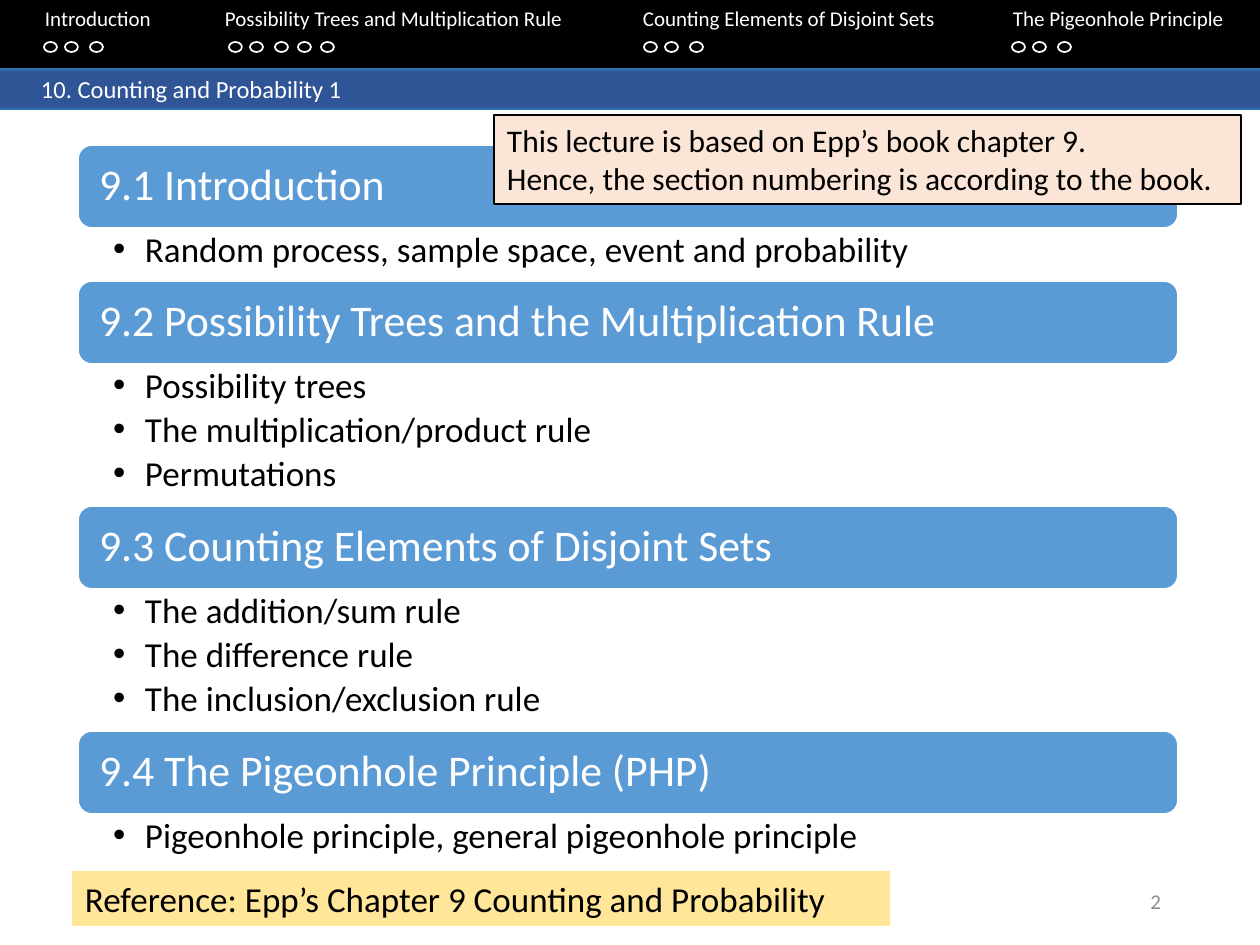
import lxml.etree
import pptx
import pptx.dml.color
import pptx.enum.shapes
import pptx.enum.text
import pptx.oxml.ns
import pptx.util

SCALE = 914400 / 126
FONT = "Calibri"
WHITE, BLACK = "FFFFFF", "000000"
BAND_STOPS = [(0, "2E75B6"), (11, "2F5597"), (91, "2F5597"), (100, "2E75B6")]
ALIGN = pptx.enum.text.PP_ALIGN
ANCHOR = pptx.enum.text.MSO_ANCHOR
SHAPE = pptx.enum.shapes.MSO_SHAPE

CHAPTERS = [
    ("Introduction", 45, 44, 3),
    ("Possibility Trees and Multiplication Rule", 225, 229, 5),
    ("Counting Elements of Disjoint Sets", 643, 644, 3),
    ("The Pigeonhole Principle", 1013, 1012, 3),
]
DOT_OFFSETS = [0, 21, 46, 69, 92]

SECTIONS = [
    ("9.1 Introduction", ["Random process, sample space, event and probability"]),
    ("9.2 Possibility Trees and the Multiplication Rule",
     ["Possibility trees", "The multiplication/product rule", "Permutations"]),
    ("9.3 Counting Elements of Disjoint Sets",
     ["The addition/sum rule", "The difference rule", "The inclusion/exclusion rule"]),
    ("9.4 The Pigeonhole Principle (PHP)",
     ["Pigeonhole principle, general pigeonhole principle"]),
]


def px(length):
    return pptx.util.Emu(round(length * SCALE))


def color(value):
    return pptx.dml.color.RGBColor.from_string(value)


def add_xml(parent, tag, **attributes):
    return lxml.etree.SubElement(parent, pptx.oxml.ns.qn(tag), attributes)


def add_bullet(para, indent):
    props = para._p.get_or_add_pPr()
    props.set("marL", str(px(indent)))
    props.set("indent", str(-px(indent)))
    add_xml(props, "a:buFont", typeface="Arial")
    add_xml(props, "a:buChar", char="•")


def add_tabs(para, stops):
    tab_list = add_xml(para._p.get_or_add_pPr(), "a:tabLst")
    for stop in stops:
        add_xml(tab_list, "a:tab", pos=str(px(stop)), algn="l")


def write(shape, text, size, ink=BLACK, align=ALIGN.LEFT, anchor=ANCHOR.TOP,
          insets=(13, 6, 13, 6), spacing=None, after=None, bullet=None, tabs=()):
    frame = shape.text_frame
    frame.word_wrap = True
    frame.vertical_anchor = anchor
    frame.margin_left, frame.margin_top, frame.margin_right, frame.margin_bottom = map(px, insets)
    for index, line in enumerate(text.split("\n")):
        para = frame.add_paragraph() if index else frame.paragraphs[0]
        para.alignment = align
        if bullet:
            add_bullet(para, bullet)
        if tabs:
            add_tabs(para, tabs)
        if spacing:
            para.line_spacing = spacing
        if after:
            para.space_after = pptx.util.Pt(after)
        span = para.add_run()
        span.text = line
        span.font.name = FONT
        span.font.size = pptx.util.Pt(size)
        span.font.color.rgb = color(ink)


def add_box(shapes, left, top, width, height):
    return shapes.add_textbox(px(left), px(top), px(width), px(height))


def add_shape(shapes, kind, left, top, width, height, fill=None, line=None, weight=1):
    shape = shapes.add_shape(kind, px(left), px(top), px(width), px(height))
    shape.shadow.inherit = False
    if fill:
        shape.fill.solid()
        shape.fill.fore_color.rgb = color(fill)
    else:
        shape.fill.background()
    if line:
        shape.line.color.rgb = color(line)
        shape.line.width = pptx.util.Pt(weight)
    else:
        shape.line.fill.background()
    return shape


def add_band(shapes, top, height):
    band = add_shape(shapes, SHAPE.RECTANGLE, 0, top, 1260, height)
    band.fill.gradient()
    band.fill.gradient_angle = 270
    stop_list = band._element.spPr.find(".//" + pptx.oxml.ns.qn("a:gsLst"))
    for stop in list(stop_list):
        stop_list.remove(stop)
    for position, value in BAND_STOPS:
        stop = add_xml(stop_list, "a:gs", pos=str(position * 1000))
        add_xml(stop, "a:srgbClr", val=value)
    return band


def add_outline(shapes):
    outline = shapes.add_group_shape().shapes
    top, heading_height = 145, 83
    for heading, topics in SECTIONS:
        bar = add_shape(outline, SHAPE.ROUNDED_RECTANGLE, 78, top, 1100, heading_height,
                        fill="5B9BD5", line=WHITE)
        write(bar, heading, 25, ink=WHITE, anchor=ANCHOR.MIDDLE,
              insets=(17, 13, 17, 13), spacing=0.9)
        top += heading_height
        height = (17 + 89 * len(topics)) // 2
        body = add_box(outline, 78, top, 1100, height)
        write(body, "\n".join(topics), 20, insets=(35, 4, 24, 4),
              spacing=0.9, after=3.5, bullet=32)
        top += height


def add_navigation(shapes):
    add_shape(shapes, SHAPE.RECTANGLE, 0, -2, 1260, 70, fill=BLACK)
    titles = "".join("\t" + title for title, *_ in CHAPTERS)
    write(add_box(shapes, 0, 0, 1260, 63), titles, 12, ink=WHITE,
          tabs=[left - 13 for _, left, *_ in CHAPTERS])
    for _, _, first_dot, count in CHAPTERS:
        for offset in DOT_OFFSETS[:count]:
            add_shape(shapes, SHAPE.OVAL, first_dot + offset, 42, 13, 10, line=WHITE)


def main():
    deck = pptx.Presentation()
    deck.slide_width, deck.slide_height = px(1260), px(945)
    page = deck.slides.add_slide(deck.slide_layouts[6])
    shapes = page.shapes
    add_band(shapes, 67, 38)
    write(add_box(shapes, 890, 876, 284, 50), "2", 12, ink="8C8C8C",
          align=ALIGN.RIGHT, anchor=ANCHOR.MIDDLE)
    title = add_band(shapes, 68, 42)
    write(title, "10. Counting and Probability 1", 14, ink=WHITE, insets=(41, 6, 13, 6))
    add_outline(shapes)
    add_navigation(shapes)
    reference = add_shape(shapes, SHAPE.RECTANGLE, 72, 871, 818, 55, fill="FFE699")
    write(reference, "Reference: Epp’s Chapter 9 Counting and Probability", 20)
    note = add_shape(shapes, SHAPE.RECTANGLE, 494, 115, 747, 89,
                     fill="FBE5D6", line=BLACK, weight=0.75)
    write(note, "This lecture is based on Epp’s book chapter 9.\n"
                "Hence, the section numbering is according to the book.", 18)
    deck.save("out.pptx")


if __name__ == "__main__":
    main()
